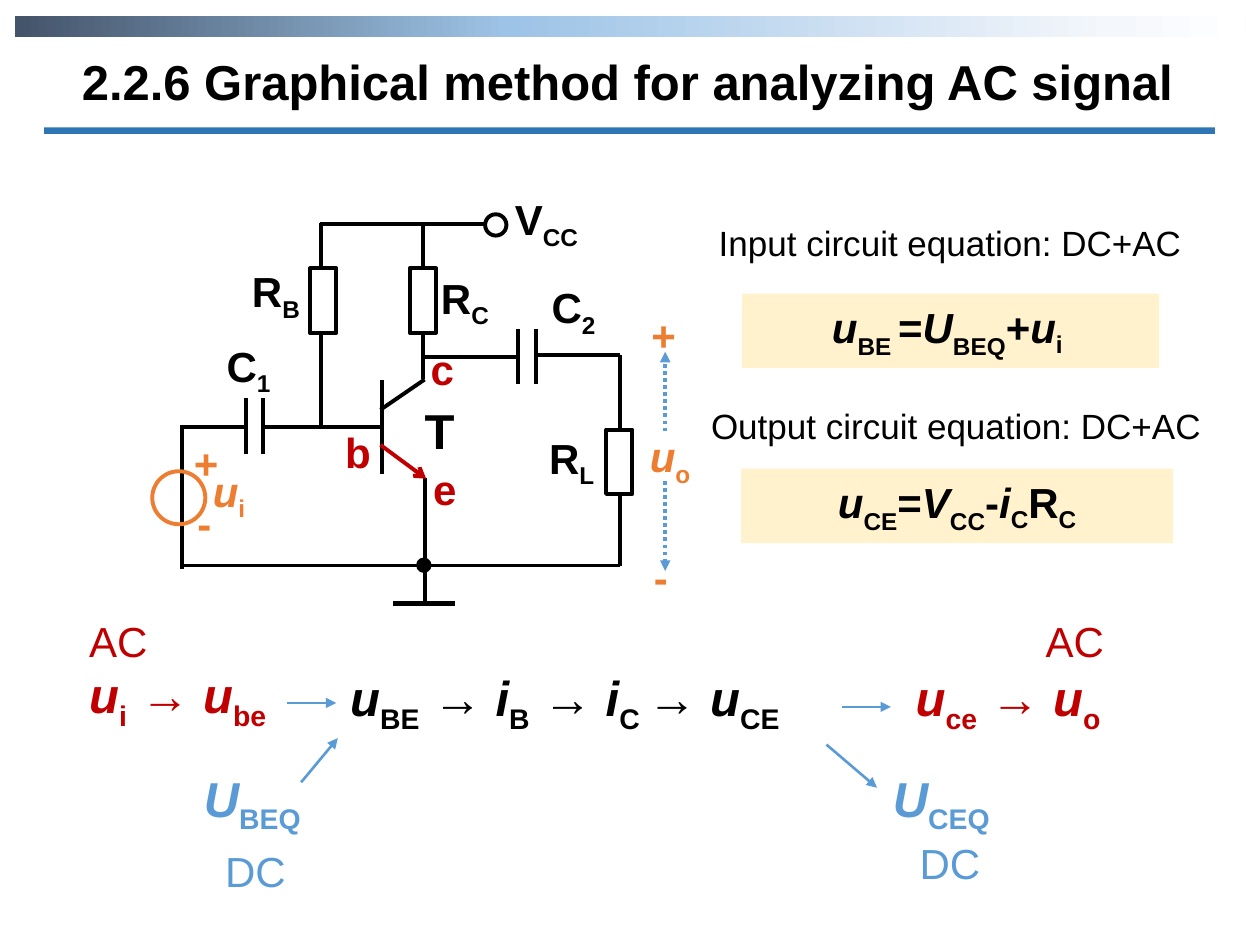
"""Build the slide on graphical analysis of an AC signal in a transistor amplifier."""
import copy

import pptx
import pptx.dml.color
import pptx.enum.dml
import pptx.enum.shapes
import pptx.enum.text
import pptx.oxml
import pptx.oxml.ns
import pptx.util

Cm = pptx.util.Cm
Pt = pptx.util.Pt
RGBColor = pptx.dml.color.RGBColor
SHAPE = pptx.enum.shapes.MSO_SHAPE
ALIGN = pptx.enum.text.PP_ALIGN
qn = pptx.oxml.ns.qn

BLACK = RGBColor(0x00, 0x00, 0x00)
WHITE = RGBColor(0xFF, 0xFF, 0xFF)
RED = RGBColor(0xC0, 0x00, 0x00)
ORANGE = RGBColor(0xED, 0x7D, 0x31)
BLUE = RGBColor(0x5B, 0x9B, 0xD5)
RULE_BLUE = RGBColor(0x2E, 0x75, 0xB6)
CREAM = RGBColor(0xFF, 0xF2, 0xCC)
SLATE = RGBColor(0x44, 0x54, 0x6A)
SKY = RGBColor(0x9D, 0xC3, 0xE6)
MIST = RGBColor(0xF4, 0xF7, 0xFC)
SUBSCRIPTS = {"_": "-25000", "~": "-30000"}


def write(shape, text, size=24, color=BLACK, bold=True, align=ALIGN.LEFT):
    """Fill a shape with pieces split at |, where * is italic and _ or ~ is subscript."""
    frame = shape.text_frame
    frame.word_wrap = True
    frame.auto_size = pptx.enum.text.MSO_AUTO_SIZE.SHAPE_TO_FIT_TEXT
    paragraph = frame.paragraphs[0]
    paragraph.alignment = align
    for piece in text.split("|"):
        run = paragraph.add_run()
        run.text = piece.lstrip("*_~")
        run.font.name = "Arial"
        run.font.size = Pt(size)
        run.font.bold = bold
        run.font.italic = piece.startswith("*")
        run.font.color.rgb = color
        if piece[0] in SUBSCRIPTS:
            run.font._element.set("baseline", SUBSCRIPTS[piece[0]])


def draw_line(shapes, ends, color=BLACK, width=2.25, arrow=None, dash=None):
    """Draw a straight line between two points given in centimetres."""
    line = shapes.add_connector(pptx.enum.shapes.MSO_CONNECTOR.STRAIGHT, *map(Cm, ends))
    line.line.color.rgb = color
    line.line.width = Pt(width)
    if dash:
        line.line.dash_style = dash
    properties = line._element.spPr
    if arrow:
        tail = pptx.oxml.parse_xml(f'<a:tailEnd {pptx.oxml.ns.nsdecls("a")} type="{arrow}"/>')
        properties.find(qn("a:ln")).append(tail)
    properties.append(pptx.oxml.parse_xml(f'<a:effectLst {pptx.oxml.ns.nsdecls("a")}/>'))


deck = pptx.Presentation()
deck.slide_width = Cm(25.4)
deck.slide_height = Cm(19.05)
slide = deck.slides.add_slide(deck.slide_layouts[6])

banner = slide.shapes.add_shape(SHAPE.RECTANGLE, Cm(0.3), Cm(0.33), Cm(24.79), Cm(0.41))
banner.shadow.inherit = False
banner.line.fill.background()
banner.fill.gradient()
banner.fill.gradient_angle = 0
stop_list = banner._element.spPr.find(".//" + qn("a:gsLst"))
for stop in list(stop_list):
    stop_list.append(copy.deepcopy(stop))
banner_colors = [(0, SLATE), (0.4, SKY), (0.89, MIST), (1, WHITE)]
for stop, (position, color) in zip(banner.fill.gradient_stops, banner_colors):
    stop.position = position
    stop.color.rgb = color

title = slide.shapes.add_textbox(Cm(1.4), Cm(0.91), Cm(22.81), Cm(1.45))
write(title, "2.2.6 Graphical method for analyzing AC signal", size=28)

title_rule = slide.shapes.add_shape(SHAPE.RECTANGLE, Cm(0.89), Cm(2.57), Cm(23.6), Cm(0.13))
title_rule.shadow.inherit = False
title_rule.fill.solid()
title_rule.fill.fore_color.rgb = RULE_BLUE
title_rule.line.fill.background()

circuit = slide.shapes.add_group_shape().shapes
wires = [
    (7.7, 7.67, 7.7, 9.55),
    (7.7, 8.61, 5.28, 8.61),
    (7.67, 8.26, 8.56, 7.65),
    (8.53, 7.65, 8.53, 4.5),
    (8.56, 9.63, 8.56, 12.17),
    (6.48, 8.61, 6.48, 4.5),
    (12.5, 11.4, 3.66, 11.4),
    (10.44, 7.19, 8.53, 7.19),
    (9.78, 4.52, 6.45, 4.52),
    (12.5, 7.16, 12.5, 11.4),
    (3.66, 8.56, 3.66, 11.48),
    (4.95, 8.61, 3.66, 8.61),
    (12.5, 7.16, 10.8, 7.16),
]
for plate_left, plate_top in [(4.95, 8.03), (10.44, 6.63)]:
    for plate_x in (plate_left, plate_left + 0.36):
        wires.append((plate_x, plate_top, plate_x, plate_top + 1.12))
for wire in wires:
    draw_line(circuit, wire)
draw_line(circuit, (7.92, 12.17, 9.17, 12.17), width=3)
draw_line(circuit, (7.67, 8.97, 8.59, 9.65), color=RED, arrow="arrow")
for start, end in [(9.7, 11.51), (8.69, 7.09)]:
    draw_line(circuit, (13.41, start, 13.41, end), color=BLUE, width=2, arrow="triangle",
              dash=pptx.enum.dml.MSO_LINE.ROUND_DOT)

components = [
    (SHAPE.RECTANGLE, 6.25, 5.41, 0.53, 1.3, WHITE, BLACK),
    (SHAPE.RECTANGLE, 8.26, 5.41, 0.53, 1.3, WHITE, BLACK),
    (SHAPE.RECTANGLE, 12.22, 8.66, 0.53, 1.3, WHITE, BLACK),
    (SHAPE.OVAL, 8.43, 11.28, 0.23, 0.23, BLACK, BLACK),
    (SHAPE.OVAL, 3.07, 9.5, 1.07, 1.07, None, ORANGE),
    (SHAPE.OVAL, 9.78, 4.32, 0.43, 0.43, WHITE, BLACK),
]
for outline, left, top, width, height, fill, color in components:
    component = circuit.add_shape(outline, Cm(left), Cm(top), Cm(width), Cm(height))
    component.shadow.inherit = False
    if fill is None:
        component.fill.background()
    else:
        component.fill.solid()
        component.fill.fore_color.rgb = fill
    component.line.color.rgb = color
    component.line.width = Pt(2.25)

circuit_labels = [
    ("V|_CC", 10.13, 3.78, 2.01, BLACK, 24),
    ("R|_C", 8.64, 5.36, 2.01, BLACK, 24),
    ("R|_B", 4.83, 5.23, 1.63, BLACK, 24),
    ("R|_L", 10.82, 8.59, 2.01, BLACK, 24),
    ("C|_1", 4.32, 6.73, 1.6, BLACK, 24),
    ("C|_2", 10.87, 5.56, 1.6, BLACK, 24),
    ("T", 8.31, 7.95, 1.35, BLACK, 28),
    ("*u|_i", 4.04, 9.25, 1.32, ORANGE, 24),
    ("+", 3.66, 8.69, 1.63, ORANGE, 24),
    ("-", 3.73, 9.91, 1.04, ORANGE, 24),
    ("*u|_o", 12.85, 8.56, 1.63, ORANGE, 24),
    ("+", 12.88, 6.12, 1.63, ORANGE, 24),
    ("-", 12.93, 11.0, 1.04, ORANGE, 24),
    ("b", 6.71, 8.48, 1.19, RED, 24),
    ("e", 8.48, 9.22, 1.19, RED, 24),
    ("c", 8.43, 6.81, 1.19, RED, 24),
]
for text, left, top, width, color, size in circuit_labels:
    height = 1.5 if "_" in text else 1.27
    label = circuit.add_textbox(Cm(left), Cm(top), Cm(width), Cm(height))
    write(label, text, size=size, color=color)

signal_chain = [
    ("*u|_i| → |*u|_be", 1.55, 13.28, 5.21, RED),
    ("*u|_BE| → |*i|_B| → |*i|_C |→ |*u|_CE", 6.81, 13.34, 10.87, BLACK),
    ("*u|_ce| → |*u|_o", 18.21, 13.34, 5.21, RED),
    ("*U|_BEQ", 3.86, 15.37, 2.72, BLUE),
    ("*U|_CEQ", 17.75, 15.37, 2.72, BLUE),
]
for text, left, top, width, color in signal_chain:
    signal = slide.shapes.add_textbox(Cm(left), Cm(top), Cm(width), Cm(1.7))
    write(signal, text, size=28, color=color)

for arrow_ends in [
    (6.07, 15.77, 6.81, 14.88),
    (16.97, 14.25, 17.96, 14.25),
    (16.66, 15.01, 17.68, 15.88),
    (5.79, 14.17, 6.78, 14.17),
]:
    draw_line(slide.shapes, arrow_ends, color=BLUE, width=1.5, arrow="triangle")

for text, left, top, color in [
    ("AC", 1.55, 12.29, RED),
    ("DC", 4.29, 16.92, BLUE),
    ("DC", 18.29, 16.76, BLUE),
    ("AC", 20.83, 12.29, RED),
]:
    current_kind = slide.shapes.add_textbox(Cm(left), Cm(top), Cm(1.75), Cm(1.27))
    write(current_kind, text, color=color, bold=False)

for text, left, top, width in [
    ("*u|~BE |=|*U|~BEQ|+|*u|_i ", 14.96, 5.92, 8.41),
    ("*u|~CE|=|*V|~CC|-|*i|_C|R|_C", 14.94, 9.45, 8.71),
]:
    equation = slide.shapes.add_shape(SHAPE.RECTANGLE, Cm(left), Cm(top), Cm(width), Cm(1.5))
    equation.shadow.inherit = False
    equation.fill.solid()
    equation.fill.fore_color.rgb = CREAM
    equation.line.fill.background()
    write(equation, text, align=ALIGN.CENTER)

for text, left, top in [
    ("Input circuit equation: DC+AC", 13.67, 4.34),
    ("Output circuit equation: DC+AC", 13.79, 8.03),
]:
    caption = slide.shapes.add_textbox(Cm(left), Cm(top), Cm(10.97), Cm(1.12))
    write(caption, text, size=20, bold=False, align=ALIGN.CENTER)

deck.save("out.pptx")
